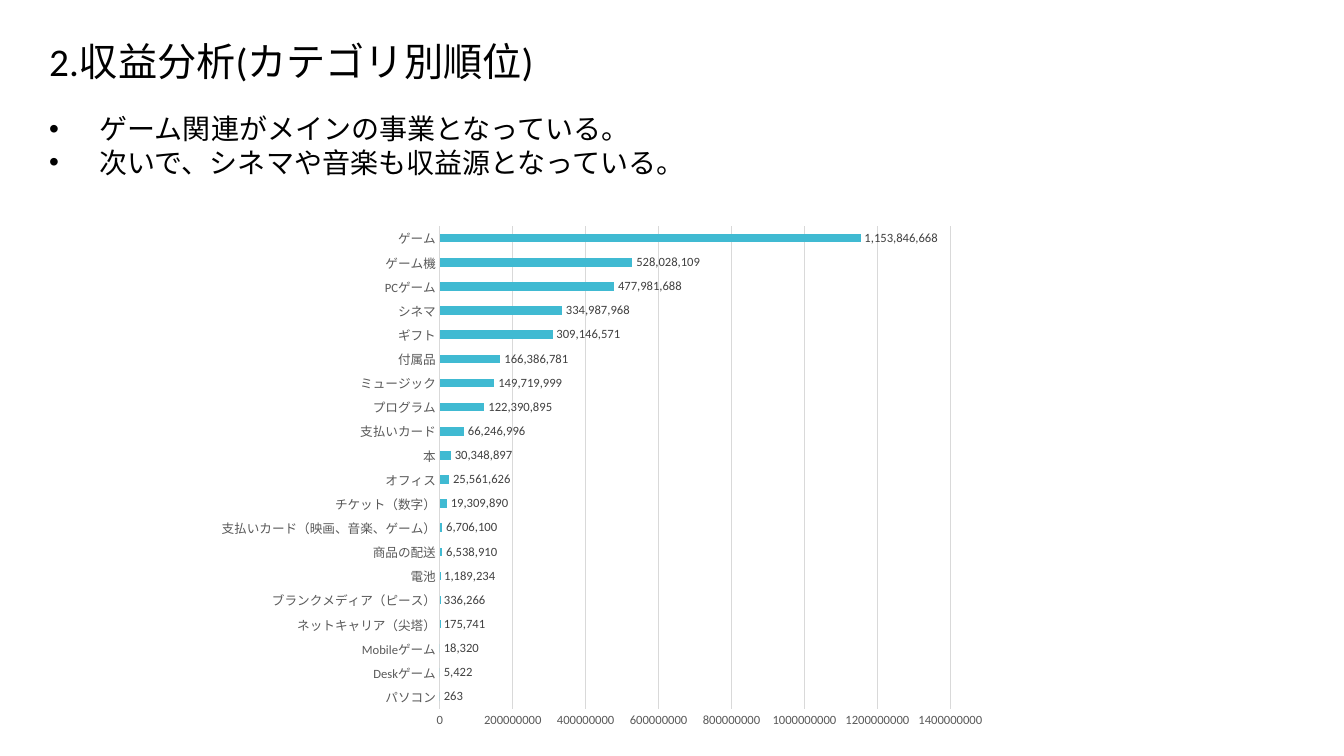
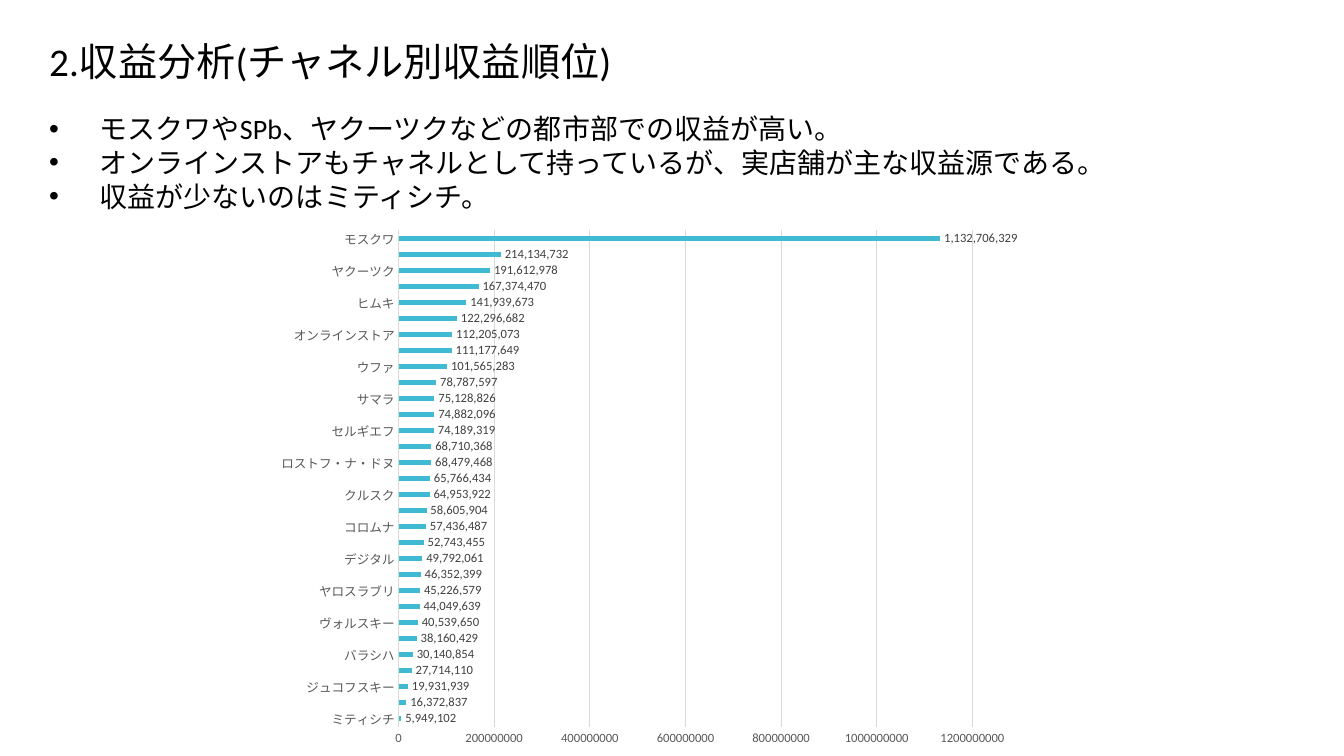
from lxml import etree
from pptx import Presentation
from pptx import util as u
from pptx.chart.data import CategoryChartData
from pptx.dml.color import RGBColor
from pptx.enum import chart as charts, text
from pptx.oxml import ns

PX = 9144  # EMU per px, 100 px to the inch
FONT = "Calibri"
COLORS = {
    "paper": "FFFFFF",
    "ink": "000000",
    "bar": "40BAD2",
    "grid": "D9D9D9",
    "axis": "595959",
    "label": "404040",
}

# Revenue rankings, highest first
CATEGORY_REVENUE = [
    ("ゲーム", 1153846668),
    ("ゲーム機", 528028109),
    ("PCゲーム", 477981688),
    ("シネマ", 334987968),
    ("ギフト", 309146571),
    ("付属品", 166386781),
    ("ミュージック", 149719999),
    ("プログラム", 122390895),
    ("支払いカード", 66246996),
    ("本", 30348897),
    ("オフィス", 25561626),
    ("チケット（数字）", 19309890),
    ("支払いカード（映画、音楽、ゲーム）", 6706100),
    ("商品の配送", 6538910),
    ("電池", 1189234),
    ("ブランクメディア（ピース）", 336266),
    ("ネットキャリア（尖塔）", 175741),
    ("Mobileゲーム", 18320),
    ("Deskゲーム", 5422),
    ("パソコン", 263),
]
# Every other channel is named
CHANNEL_REVENUE = [
    ("モスクワ", 1132706329),
    ("", 214134732),
    ("ヤクーツク", 191612978),
    ("", 167374470),
    ("ヒムキ", 141939673),
    ("", 122296682),
    ("オンラインストア", 112205073),
    ("", 111177649),
    ("ウファ", 101565283),
    ("", 78787597),
    ("サマラ", 75128826),
    ("", 74882096),
    ("セルギエフ", 74189319),
    ("", 68710368),
    ("ロストフ・ナ・ドヌ", 68479468),
    ("", 65766434),
    ("クルスク", 64953922),
    ("", 58605904),
    ("コロムナ", 57436487),
    ("", 52743455),
    ("デジタル", 49792061),
    ("", 46352399),
    ("ヤロスラブリ", 45226579),
    ("", 44049639),
    ("ヴォルスキー", 40539650),
    ("", 38160429),
    ("バラシハ", 30140854),
    ("", 27714110),
    ("ジュコフスキー", 19931939),
    ("", 16372837),
    ("ミティシチ", 5949102),
]


def color(name):
    return RGBColor.from_string(COLORS[name])


def style_font(font, size, ink):
    font.name = FONT
    font.size = u.Pt(size)
    font.color.rgb = color(ink)


def write(para, content, size=20, ink="ink", indent=0):
    """Fill a paragraph; an indent in px also gives it a bullet."""
    span = para.add_run()
    span.text = content
    style_font(span.font, size, ink)
    if indent:
        props = para._p.get_or_add_pPr()
        props.set("marL", str(indent * PX))
        props.set("indent", str(-indent * PX))
        etree.SubElement(props, ns.qn("a:buFont"), typeface="Arial")
        etree.SubElement(props, ns.qn("a:buChar"), char="•")


class Deck:
    def __init__(self, width, height):
        self.file = Presentation()
        self.file.slide_width = width * PX
        self.file.slide_height = height * PX
        self.page = None

    def add_page(self):
        self.page = self.file.slides.add_slide(self.file.slide_layouts[6])
        fill = self.page.background.fill
        fill.solid()
        fill.fore_color.rgb = color("paper")

    def text_box(self, place, lines, **style):
        box = self.page.shapes.add_textbox(*(n * PX for n in place))
        frame = box.text_frame
        frame.word_wrap = True
        frame.auto_size = text.MSO_AUTO_SIZE.SHAPE_TO_FIT_TEXT
        for number, line in enumerate(lines):
            para = frame.add_paragraph() if number else frame.paragraphs[0]
            write(para, line, **style)

    def title(self, content):
        self.text_box((39, 32, 673, 57), [content], size=28)

    def bullets(self, lines):
        self.text_box((39, 106, 1054, 10 + 34 * len(lines)), lines, indent=50)

    def bar_chart(self, place, ranking):
        # Bars are drawn from the bottom up
        data = CategoryChartData()
        names, values = zip(*reversed(ranking))
        data.categories = names
        data.add_series("Series 1", values)
        chart = self.page.shapes.add_chart(
            charts.XL_CHART_TYPE.BAR_CLUSTERED, *(n * PX for n in place), data
        ).chart
        chart.has_title = False
        chart.has_legend = False
        style_font(chart.font, 10, "ink")

        # Bars and their values
        plot = chart.plots[0]
        plot.gap_width = 182
        plot.vary_by_categories = False
        fill = plot.series[0].format.fill
        fill.solid()
        fill.fore_color.rgb = color("bar")
        plot.has_data_labels = True
        labels = plot.data_labels
        labels.show_value = True
        labels.number_format = r"#,##0_);[Red]\(#,##0\)"
        labels.number_format_is_linked = False
        labels.position = charts.XL_LABEL_POSITION.OUTSIDE_END
        style_font(labels.font, 9, "label")

        # Axes
        for axis in (chart.category_axis, chart.value_axis):
            axis.major_tick_mark = charts.XL_TICK_MARK.NONE
            axis.minor_tick_mark = charts.XL_TICK_MARK.NONE
            style_font(axis.tick_labels.font, 9, "axis")
        chart.value_axis.tick_labels.number_format = "0"
        chart.value_axis.tick_labels.number_format_is_linked = False
        chart.value_axis.format.line.fill.background()
        chart.value_axis.has_major_gridlines = True
        for part in (chart.category_axis, chart.value_axis.major_gridlines):
            part.format.line.color.rgb = color("grid")
            part.format.line.width = u.Pt(0.75)

    def ranking_page(self, heading, points, place, ranking):
        self.add_page()
        self.title(heading)
        self.bullets(points)
        self.bar_chart(place, ranking)


def main():
    deck = Deck(1333, 750)
    # Revenue by category
    deck.ranking_page(
        "2.収益分析(カテゴリ別順位)",
        [
            "ゲーム関連がメインの事業となっている。",
            "次いで、シネマや音楽も収益源となっている。",
        ],
        (204, 214, 786, 518),
        CATEGORY_REVENUE,
    )
    # Revenue by channel
    deck.ranking_page(
        "2.収益分析(チャネル別収益順位)",
        [
            "モスクワやSPb、ヤクーツクなどの都市部での収益が高い。",
            "オンラインストアもチャネルとして持っているが、実店舗が主な収益源である。",
            "収益が少ないのはミティシチ。",
        ],
        (264, 217, 748, 533),
        CHANNEL_REVENUE,
    )
    deck.file.save("out.pptx")


if __name__ == "__main__":
    main()
